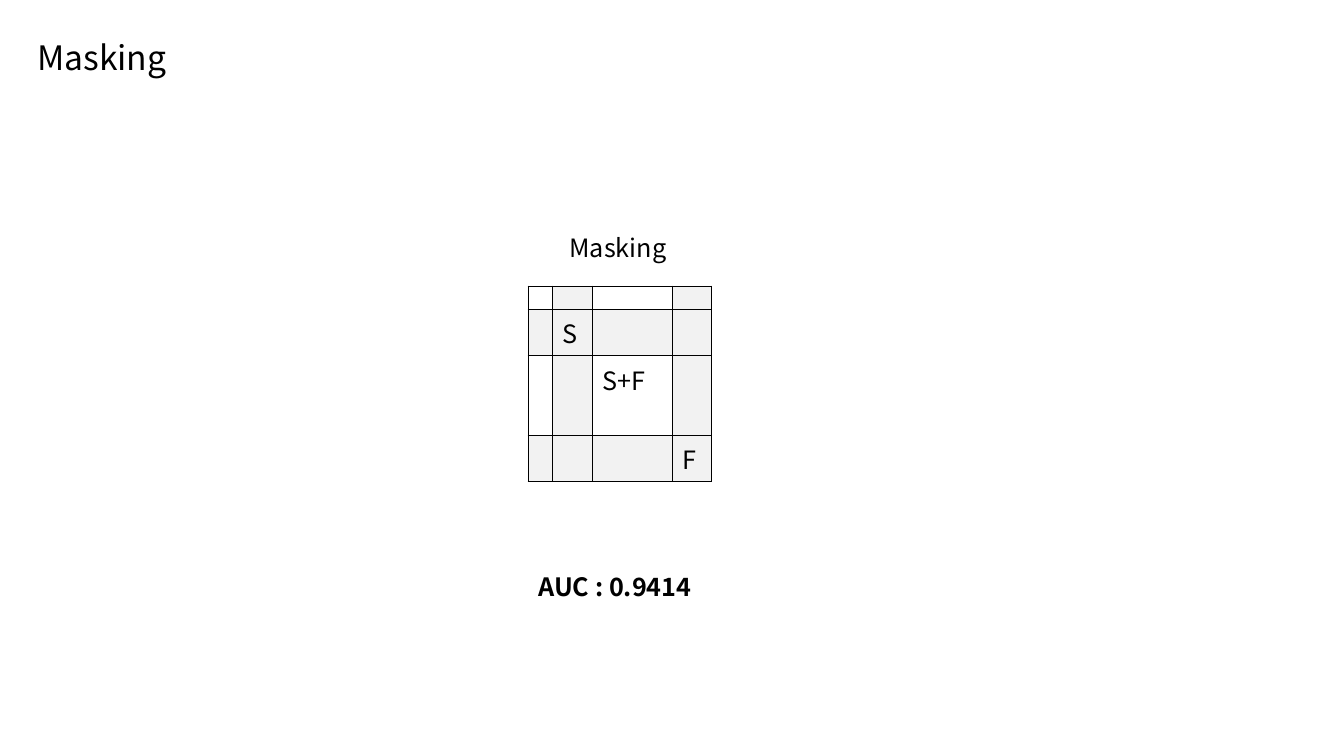
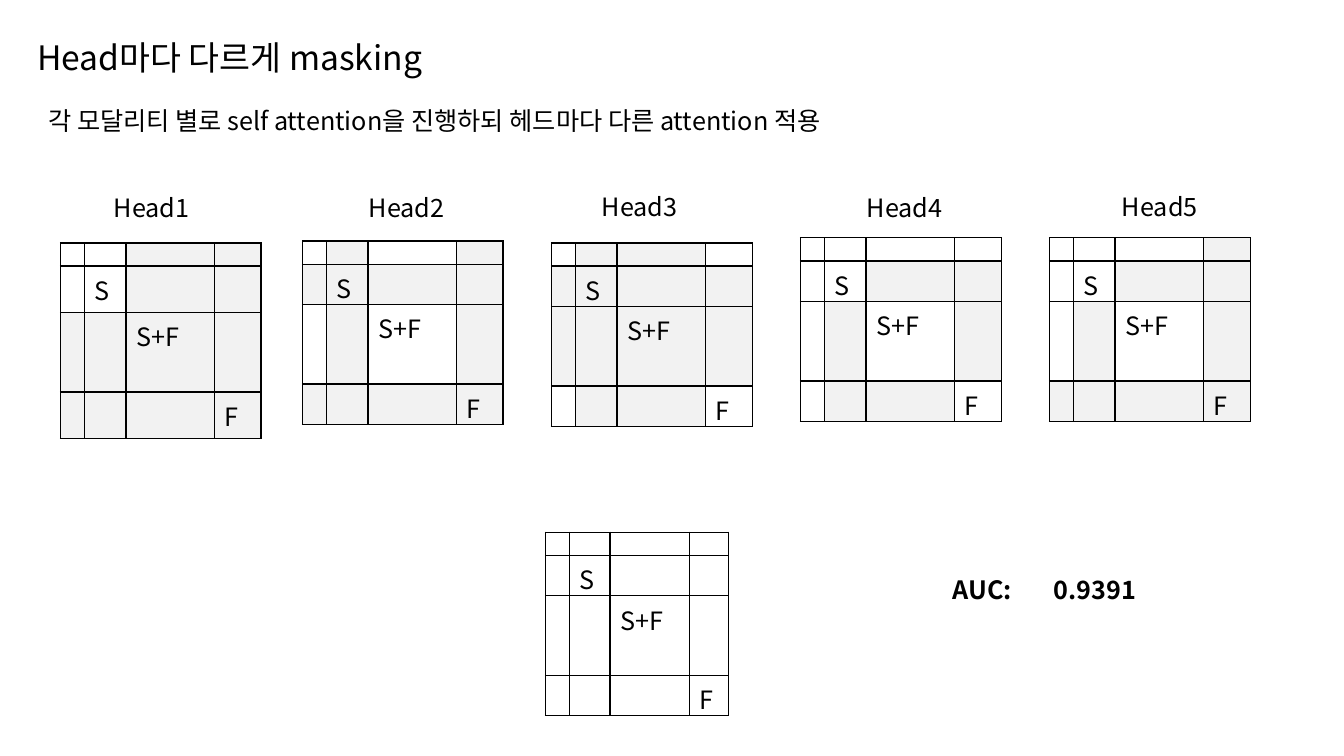
from dataclasses import dataclass

from lxml import etree
from pptx import Presentation
from pptx import util as u
from pptx.dml.color import RGBColor
from pptx.enum import text
from pptx.oxml import ns


@dataclass(frozen=True)
class Theme:
    font: str = "Noto Sans CJK KR"
    ink: str = "000000"
    open_cell: str = "FFFFFF"
    masked_cell: str = "F2F2F2"
    title: int = 24
    body: int = 18
    empty_cell: int = 6
    border: int = 1


NARROW = (0.24, 0.4, 0.79, 0.39)
WIDE = (0.24, 0.41, 0.88, 0.46)
LABELS = ("", "S", "S+F", "F")

# One string per table row: "#" is a masked cell, "." an open one.
CROSSED = (".#.#", "####", ".#.#", "####")
NO_MASK = ("....",) * 4

# Name, label left and top, table left and top, mask, tall rows
HEADS = (
    ("Head1", 1.03, 1.86, 0.6, 2.41, ("..##", "..##", "####", "####"), True),
    ("Head2", 3.56, 1.86, 3, 2.39, CROSSED, False),
    ("Head3", 5.87, 1.85, 5.47, 2.41, (".##.", "####", "####", ".##."), False),
    ("Head4", 8.5, 1.86, 7.94, 2.36, ("....", "..##", ".#.#", ".##."), False),
    ("Head5", 11.03, 1.85, 10.41, 2.36, ("...#", "..##", ".#.#", "####"), False),
)


class Deck:
    def __init__(self, theme):
        self.theme = theme
        self.prs = Presentation()
        self.prs.slide_width = u.Inches(13.33)
        self.prs.slide_height = u.Inches(7.5)
        self.s = None

    def add_slide(self, title):
        self.s = self.prs.slides.add_slide(self.prs.slide_layouts[6])
        tf = self.text(title, 0.27, -0.13, 11.5, 1.45, size=self.theme.title)
        tf.vertical_anchor = text.MSO_ANCHOR.MIDDLE
        tf.paragraphs[0].line_spacing = 0.9

    def format_run(self, r, size, bold=False):
        r.font.name = self.theme.font
        r.font.size = u.Pt(size)
        r.font.bold = bold
        r.font.color.rgb = RGBColor.from_string(self.theme.ink)
        ea = etree.SubElement(r.font._element, ns.qn("a:ea"))
        ea.set("typeface", self.theme.font)

    def text(self, words, left, top, width=1.7, height=0.4, size=None, bold=False):
        sp = self.s.shapes.add_textbox(*map(u.Inches, (left, top, width, height)))
        tf = sp.text_frame
        tf.word_wrap = True
        tf.text = words
        for r in tf.paragraphs[0].runs:
            self.format_run(r, size or self.theme.body, bold)
        return tf

    def border(self, cell):
        tcPr = cell._tc.get_or_add_tcPr()
        for i, side in enumerate(("lnL", "lnR", "lnT", "lnB")):
            ln = etree.Element(ns.qn(f"a:{side}"), w=str(u.Pt(self.theme.border)))
            fill = etree.SubElement(ln, ns.qn("a:solidFill"))
            etree.SubElement(fill, ns.qn("a:srgbClr"), val=self.theme.ink)
            tcPr.insert(i, ln)

    def mask_table(self, left, top, widths, mask, tall=False):
        """Draw an attention mask with the labels on its diagonal."""
        label_row = 0.46 if tall else 0.4
        heights = (0.23, label_row, 0.79, label_row)
        box = map(u.Inches, (left, top, sum(widths), sum(heights)))
        table = self.s.shapes.add_table(len(mask), len(widths), *box).table
        table.first_row = table.horz_banding = False
        for column, width in zip(table.columns, widths):
            column.width = u.Inches(width)
        for i, (row, height) in enumerate(zip(table.rows, heights)):
            row.height = u.Inches(height)
            for j, cell in enumerate(row.cells):
                self.mask_cell(cell, mask[i][j] == "#", LABELS[i] if i == j else "")
                cell.margin_bottom = u.Inches(0.05 if tall else 0)

    def mask_cell(self, cell, masked, label):
        t = self.theme
        cell.fill.solid()
        cell.fill.fore_color.rgb = RGBColor.from_string(
            t.masked_cell if masked else t.open_cell)
        self.border(cell)
        p = cell.text_frame.paragraphs[0]
        if label:
            p.text = label
            self.format_run(p.runs[0], t.body)
        else:
            # A small end mark keeps empty cells from stretching the row.
            etree.SubElement(p._p, ns.qn("a:endParaRPr"), sz=str(t.empty_cell * 100))


def masking_slide(deck):
    deck.add_slide("Masking")
    deck.mask_table(5.24, 2.84, NARROW, CROSSED, tall=True)
    deck.text("Masking", 5.55, 2.26)
    deck.text("AUC : 0.9414", 5.24, 5.62, 4.46, bold=True)


def heads_slide(deck):
    deck.add_slide("Head마다 다르게 masking")
    deck.text("각 모달리티 별로 self attention을 진행하되 헤드마다 다른 attention 적용",
              0.38, 1, 10.3)
    for name, label_left, label_top, left, top, mask, tall in HEADS:
        deck.text(name, label_left, label_top)
        deck.mask_table(left, top, WIDE, mask, tall)
    deck.mask_table(5.41, 5.28, NARROW, NO_MASK)
    deck.text("AUC:\t0.9391", 9.35, 5.65, 2.85, bold=True)


def main():
    deck = Deck(Theme())
    masking_slide(deck)
    heads_slide(deck)
    deck.prs.save("out.pptx")


if __name__ == "__main__":
    main()
